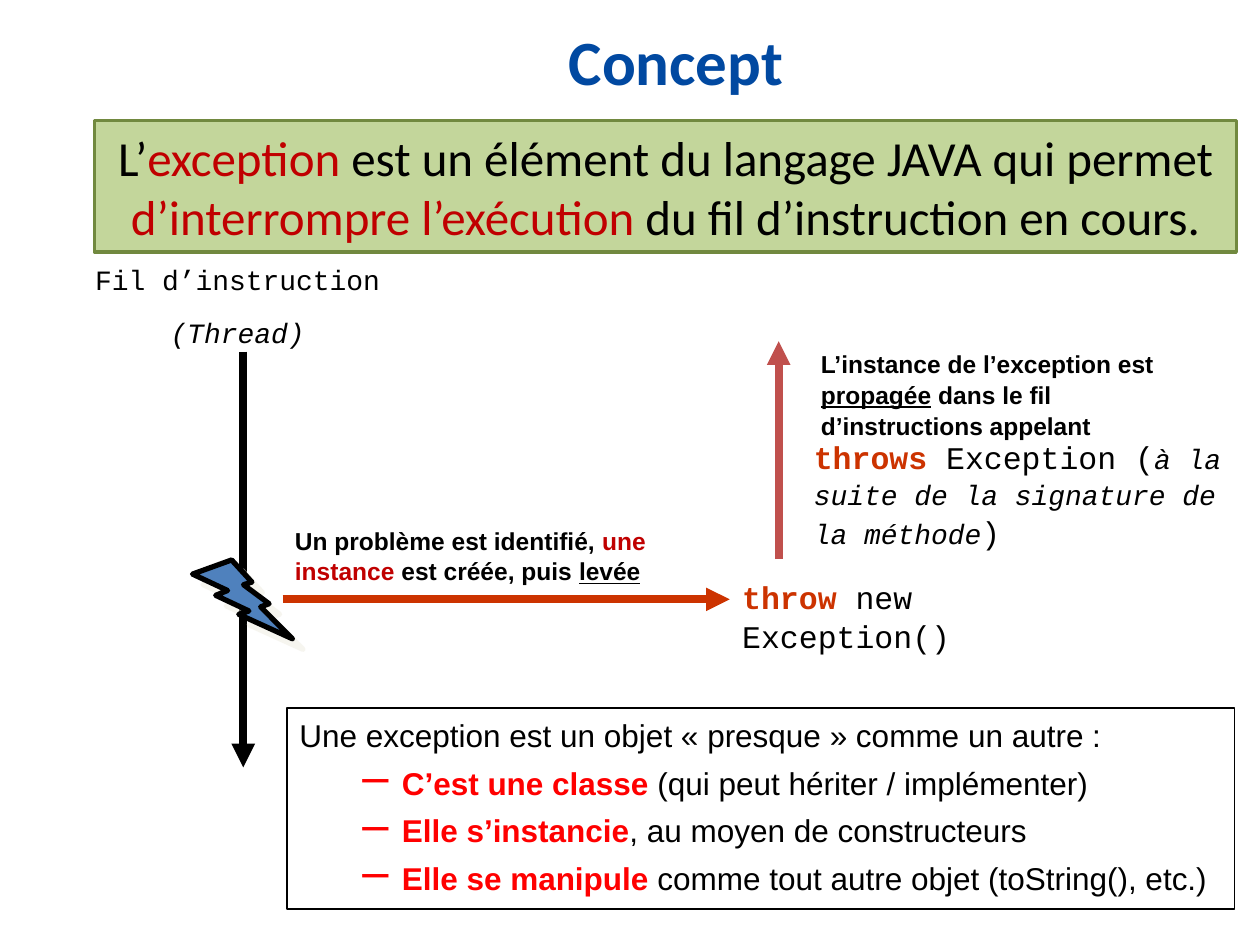
from dataclasses import dataclass
from typing import NamedTuple

from lxml import etree
from pptx import Presentation
from pptx.dml.color import RGBColor
from pptx.enum.shapes import MSO_CONNECTOR, MSO_SHAPE
from pptx.enum.text import MSO_ANCHOR, PP_ALIGN
from pptx.oxml.ns import qn
from pptx.util import Pt

RECT = MSO_SHAPE.RECTANGLE
BOLT = MSO_SHAPE.LIGHTNING_BOLT
LINE = MSO_CONNECTOR.STRAIGHT
TOP, MIDDLE = MSO_ANCHOR.TOP, MSO_ANCHOR.MIDDLE
LEFT, CENTER = PP_ALIGN.LEFT, PP_ALIGN.CENTER

INK = {
    "black": "000000",
    "title": "0149A1",
    "dark": "C00000",
    "rust": "CC3300",
    "rose": "C0504D",
    "red": "FF0000",
    "green": "C3D69B",
    "olive": "71893F",
    "blue": "4F81BD",
    "cream": "EEECE1",
}


class Run(NamedTuple):
    text: str
    ink: str = "black"
    bold: bool | None = None
    italic: bool | None = None
    under: bool | None = None
    size: float | None = None


class Para(NamedTuple):
    runs: list[Run]
    gap: float = 0
    dash: bool = False


@dataclass
class Box:
    left: float
    top: float
    width: float
    height: float
    font: str
    size: float
    paras: list[Para]
    bold: bool = False
    align: PP_ALIGN = LEFT
    anchor: MSO_ANCHOR = TOP
    pitch: float = 1.05
    fill: str | None = None
    edge: str | None = None
    weight: float = 0


class Arrow(NamedTuple):
    x1: float
    y1: float
    x2: float
    y2: float
    ink: str


def tint(name: str) -> RGBColor:
    return RGBColor.from_string(INK[name])


def add(parent, tag: str, **attrs: str):
    return etree.SubElement(parent, qn(tag), attrs)


def paint(shape, fill: str | None, edge: str, weight: float) -> None:
    shape.shadow.inherit = False
    if fill:
        shape.fill.solid()
        shape.fill.fore_color.rgb = tint(fill)
    else:
        shape.fill.background()
    shape.line.color.rgb = tint(edge)
    shape.line.width = Pt(weight)


def write(para, item: Para, box: Box) -> None:
    para.alignment = box.align
    para.line_spacing = box.pitch
    para.space_before = Pt(item.gap)
    if item.dash:
        props = para._p.get_or_add_pPr()
        props.set("marL", str(Pt(58.5)))
        props.set("indent", str(Pt(-22.5)))
        add(add(props, "a:buClr"), "a:srgbClr", val=INK["red"])
        add(props, "a:buSzPct", val="150000")
        add(props, "a:buChar", char="–")
    para.font.name = box.font
    para.font.size = Pt(box.size)
    para.font.bold = box.bold
    for part in item.runs:
        run = para.add_run()
        run.text = part.text
        font = run.font
        font.color.rgb = tint(part.ink)
        font.bold, font.italic, font.underline = part.bold, part.italic, part.under
        if part.size:
            font.size = Pt(part.size)


def draw_box(shapes, box: Box) -> None:
    spot = [Pt(n) for n in (box.left, box.top, box.width, box.height)]
    if box.edge:
        shape = shapes.add_shape(RECT, *spot)
        paint(shape, box.fill, box.edge, box.weight)
    else:
        shape = shapes.add_textbox(*spot)
    frame = shape.text_frame
    frame.word_wrap = True
    frame.vertical_anchor = box.anchor
    for i, item in enumerate(box.paras):
        write(frame.add_paragraph() if i else frame.paragraphs[0], item, box)


def draw_arrow(shapes, arrow: Arrow) -> None:
    ends = [Pt(n) for n in arrow[:4]]
    line = shapes.add_connector(LINE, *ends)
    line.line.color.rgb = tint(arrow.ink)
    line.line.width = Pt(4.5)
    add(line.line._get_or_add_ln(), "a:tailEnd", type="triangle")
    add(line._element.spPr, "a:effectLst")


def draw_bolt(shapes) -> None:
    bolt = shapes.add_shape(BOLT, Pt(110), Pt(320), Pt(57), Pt(45))
    paint(bolt, "blue", "black", 3)
    glow = bolt._element.spPr.find(qn("a:effectLst"))
    cast = add(glow, "a:outerShdw", dist=str(Pt(8.5)), dir="2700000", rotWithShape="0")
    shade = add(cast, "a:srgbClr", val=INK["cream"])
    add(shade, "a:alpha", val="50000")


def point(head: str, rest: str) -> Para:
    return Para([Run(head, "red", bold=True), Run(rest)], 4.5, True)


ARROWS = [
    Arrow(139, 201, 139, 438.5, "black"),
    Arrow(161.5, 342.5, 417, 342.5, "rust"),
    Arrow(445, 319.5, 445, 195, "rose"),
]

BOXES = [
    Box(54, 69, 652.5, 75, "Calibri", 28, [Para([
        Run("L’"),
        Run("exception", "dark"),
        Run(" est un élément du langage JAVA qui permet "),
        Run("d’interrompre l’exécution ", "dark"),
        Run("du fil d’instruction en cours."),
    ])], align=CENTER, anchor=MIDDLE, pitch=1, fill="green", edge="olive", weight=2),
    Box(31, 145.5, 209.5, 55.5, "Courier New", 16, [
        Para([Run("Fil d’instruction")]),
        Para([Run("(Thread)", italic=True)], 10),
    ], align=CENTER),
    Box(161.5, 296, 260.5, 41, "Arial", 14, [Para([
        Run("Un problème est identifié, "),
        Run("une instance", "dark"),
        Run(" est créée, puis "),
        Run("levée", under=True),
    ])], bold=True),
    Box(417, 325.5, 240, 50.5, "Courier New", 18, [Para([
        Run("throw ", "rust", bold=True),
        Run("new Exception()"),
    ])]),
    Box(462, 195, 227, 57.5, "Arial", 14, [Para([
        Run("L’instance de l’exception est "),
        Run("propagée", under=True),
        Run(" dans le fil d’instructions appelant"),
    ])], bold=True),
    Box(164, 404.5, 541.5, 115, "Arial", 18, [
        Para([Run("Une exception est un objet « presque » comme un autre :")]),
        point("C’est une classe ", "(qui peut hériter / implémenter)"),
        point("Elle s’instancie", ", au moyen de constructeurs"),
        point("Elle se manipule ", "comme tout autre objet (toString(), etc.)"),
    ], edge="black", weight=0.75),
    Box(60, 9.5, 652.5, 61, "Calibri", 36, [Para([Run("Concept", "title")])],
        bold=True, align=CENTER, pitch=1),
    Box(458, 245.5, 265.5, 70, "Courier New", 18, [Para([
        Run("throws", "rust", bold=True),
        Run(" Exception ("),
        Run("à la suite de la signature de la méthode", italic=True, size=16),
        Run(")"),
    ])]),
]


def main() -> None:
    deck = Presentation()
    deck.slide_width, deck.slide_height = Pt(720), Pt(540)
    shapes = deck.slides.add_slide(deck.slide_layouts[6]).shapes
    for arrow in ARROWS:
        draw_arrow(shapes, arrow)
    draw_bolt(shapes)
    for box in BOXES:
        draw_box(shapes, box)
    deck.save("out.pptx")


if __name__ == "__main__":
    main()
